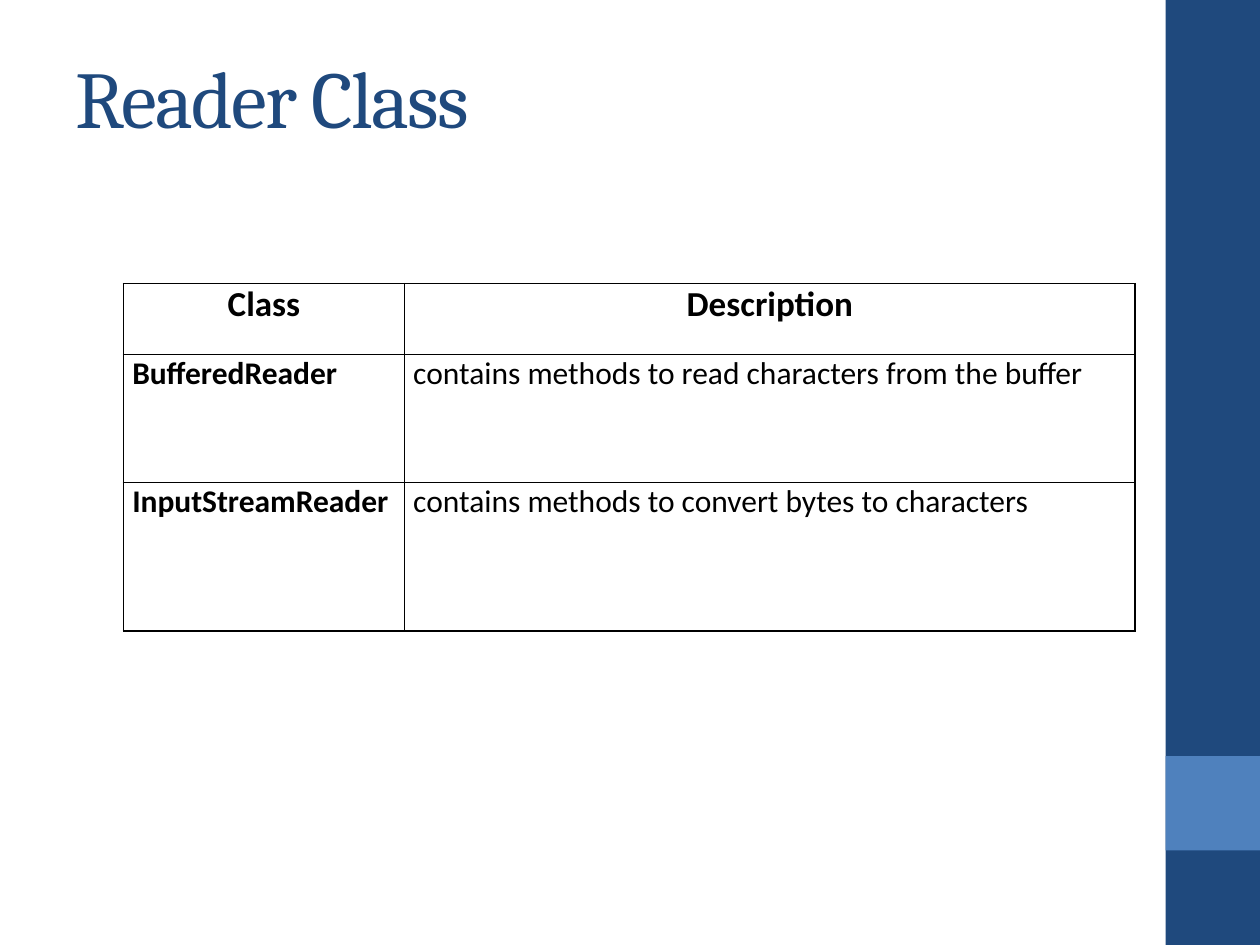
from lxml.etree import SubElement
from pptx import Presentation
from pptx.dml.color import RGBColor
from pptx.enum.shapes import MSO_SHAPE
from pptx.enum.text import MSO_ANCHOR, PP_ALIGN
from pptx.oxml.ns import qn
from pptx.util import Inches, Pt

COLORS = {"navy": "1F497D", "blue": "4F81BD", "black": "000000", "white": "FFFFFF"}
ROWS = [
    ("Class", "Description"),
    ("BufferedReader", "contains methods to read characters from the buffer"),
    ("InputStreamReader", "contains methods to convert bytes to characters"),
]
COLUMN_WIDTHS = [2.23, 5.8]
ROW_HEIGHTS = [0.56, 1.02, 1.18]


def rgb(name):
    return RGBColor.from_string(COLORS[name])


def set_all(target, values):
    for name, value in values.items():
        setattr(target, name, value)


def write(frame, text, color, align, font):
    para = frame.paragraphs[0]
    para.alignment = align
    span = para.add_run()
    span.text = text
    set_all(span.font, font)
    span.font.color.rgb = rgb(color)
    return span


def add_sidebar(page, box):
    left, top, width, height = box
    bands = [("navy", top, height), ("blue", top + height - 2 * width, width)]
    for color, band_top, band_height in bands:
        band = page.shapes.add_shape(
            MSO_SHAPE.RECTANGLE,
            Inches(left), Inches(band_top), Inches(width), Inches(band_height),
        )
        band.shadow.inherit = False
        band.fill.solid()
        band.fill.fore_color.rgb = rgb(color)
        band.line.fill.background()


def add_title(page, box):
    title = page.shapes.title
    set_all(title, dict(zip(("left", "top", "width", "height"), map(Inches, box))))
    title.text_frame.vertical_anchor = MSO_ANCHOR.MIDDLE
    font = {"name": "Cambria", "size": Pt(46)}
    span = write(title.text_frame, "Reader Class", "navy", PP_ALIGN.LEFT, font)
    span.font._element.set("spc", "-100")


def add_borders(cell, widths):
    properties = cell._tc.get_or_add_tcPr()
    for side, width in widths.items():
        line = SubElement(properties, qn(f"a:ln{side}"), w=str(Pt(width)))
        fill = SubElement(line, qn("a:solidFill"))
        SubElement(fill, qn("a:srgbClr"), val=COLORS["black"])


def add_class_table(page, box):
    frame = page.shapes.add_table(len(ROWS), len(COLUMN_WIDTHS), *map(Inches, box))
    table = frame.table
    set_all(table, {"first_row": False, "horz_banding": False})
    for column, width in zip(table.columns, COLUMN_WIDTHS):
        column.width = Inches(width)
    margins = {
        "margin_left": Inches(0.07), "margin_right": Inches(0.07),
        "margin_top": 0, "margin_bottom": 0,
    }
    last = len(ROWS) - 1
    for r, texts in enumerate(ROWS):
        table.rows[r].height = Inches(ROW_HEIGHTS[r])
        header = r == 0
        for c, text in enumerate(texts):
            cell = table.cell(r, c)
            set_all(cell, margins)
            add_borders(cell, {
                "L": 1, "R": 1,
                "T": 1 if header else 0.5, "B": 1 if r == last else 0.5,
            })
            cell.fill.solid()
            cell.fill.fore_color.rgb = rgb("white")
            font = {
                "name": "Calibri", "size": Pt(20 if header else 18),
                "bold": header or c == 0,
            }
            align = PP_ALIGN.CENTER if header else PP_ALIGN.LEFT
            write(cell.text_frame, text, "black", align, font)


def main():
    deck = Presentation()
    set_all(deck, {"slide_width": Inches(10), "slide_height": Inches(7.5)})
    page = deck.slides.add_slide(deck.slide_layouts[5])
    add_sidebar(page, (9.25, 0, 0.75, 7.5))
    add_title(page, (0.5, 0.3, 8.33, 0.93))
    add_class_table(page, (0.98, 2.25, sum(COLUMN_WIDTHS), sum(ROW_HEIGHTS)))
    deck.save("out.pptx")


if __name__ == "__main__":
    main()
